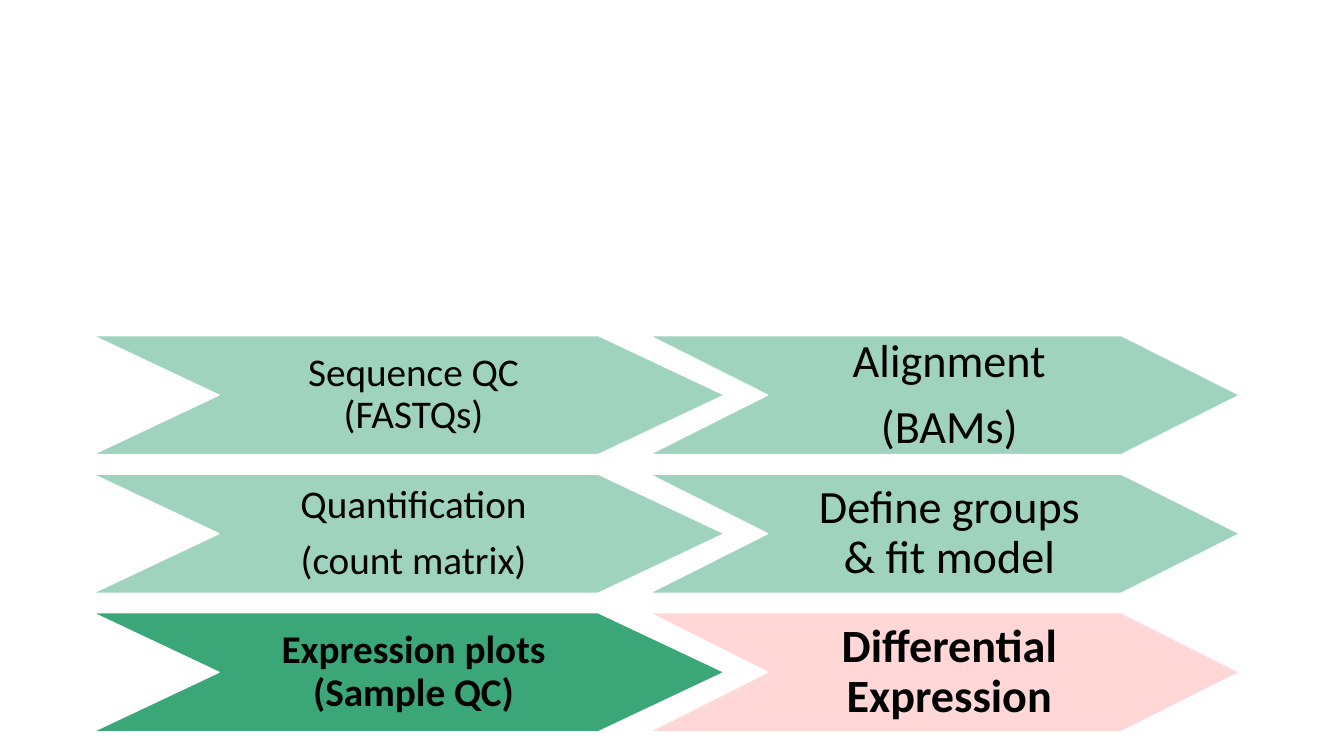
from pptx import Presentation
from pptx.dml.color import RGBColor
from pptx.enum import text
from pptx.util import Pt

LIGHT_GREEN, GREEN, PINK = "9FD3BD", "3BA779", "FFD7D7"

# Columns: left, width, notch depth, font size
COLUMNS = [(66.2, 451.4, 90.2, 28), (463.7, 421.9, 84.6, 33)]
FIRST_TOP, ROW_PITCH, ROW_HEIGHT = 239.7, 99, 85

# Rows of steps: label, fill, bold ("\n" new paragraph, "\v" line break)
ROWS = [
    [("Sequence QC\v(FASTQs)", LIGHT_GREEN, False),
     ("Alignment\n(BAMs)", LIGHT_GREEN, False)],
    [("Quantification\n(count matrix)", LIGHT_GREEN, False),
     ("Define groups\v& fit model", LIGHT_GREEN, False)],
    [("Expression plots\v(Sample QC)", GREEN, True),
     ("Differential Expression", PINK, True)],
]


def color(hex_string):
    return RGBColor.from_string(hex_string)


def add_chevron(slide, left, top, width, height, notch, fill):
    right, middle, bottom = left + width, top + height / 2, top + height
    points = [(right - notch, top), (right, middle), (right - notch, bottom),
              (left, bottom), (left + notch, middle)]
    builder = slide.shapes.build_freeform(Pt(left), Pt(top))
    builder.add_line_segments([(Pt(x), Pt(y)) for x, y in points])
    shape = builder.convert_to_shape()
    shape.shadow.inherit = False
    shape.fill.solid()
    shape.fill.fore_color.rgb = color(fill)
    shape.line.color.rgb = color("FFFFFF")
    shape.line.width = Pt(1)
    return shape


def set_label(shape, label, size, bold):
    frame = shape.text_frame
    frame.word_wrap = True
    frame.vertical_anchor = text.MSO_ANCHOR.MIDDLE
    frame.margin_left, frame.margin_right = Pt(70), Pt(63)
    frame.margin_top = frame.margin_bottom = Pt(3.6)
    frame.text = label
    for paragraph in frame.paragraphs:
        paragraph.alignment = text.PP_ALIGN.CENTER
        paragraph.line_spacing = 0.9
        paragraph.space_after = Pt(0.35 * size)
        font = paragraph.font
        font.name, font.size, font.bold = "Calibri", Pt(size), bold
        font.color.rgb = color("000000")


def main():
    presentation = Presentation()
    presentation.slide_width, presentation.slide_height = Pt(960), Pt(540)
    slide = presentation.slides.add_slide(presentation.slide_layouts[6])

    # Workflow steps, two to a row
    for index, row in enumerate(ROWS):
        top = FIRST_TOP + index * ROW_PITCH
        for (left, width, notch, size), (label, fill, bold) in zip(COLUMNS, row):
            shape = add_chevron(slide, left, top, width, ROW_HEIGHT, notch, fill)
            set_label(shape, label, size, bold)

    presentation.save("out.pptx")


main()
